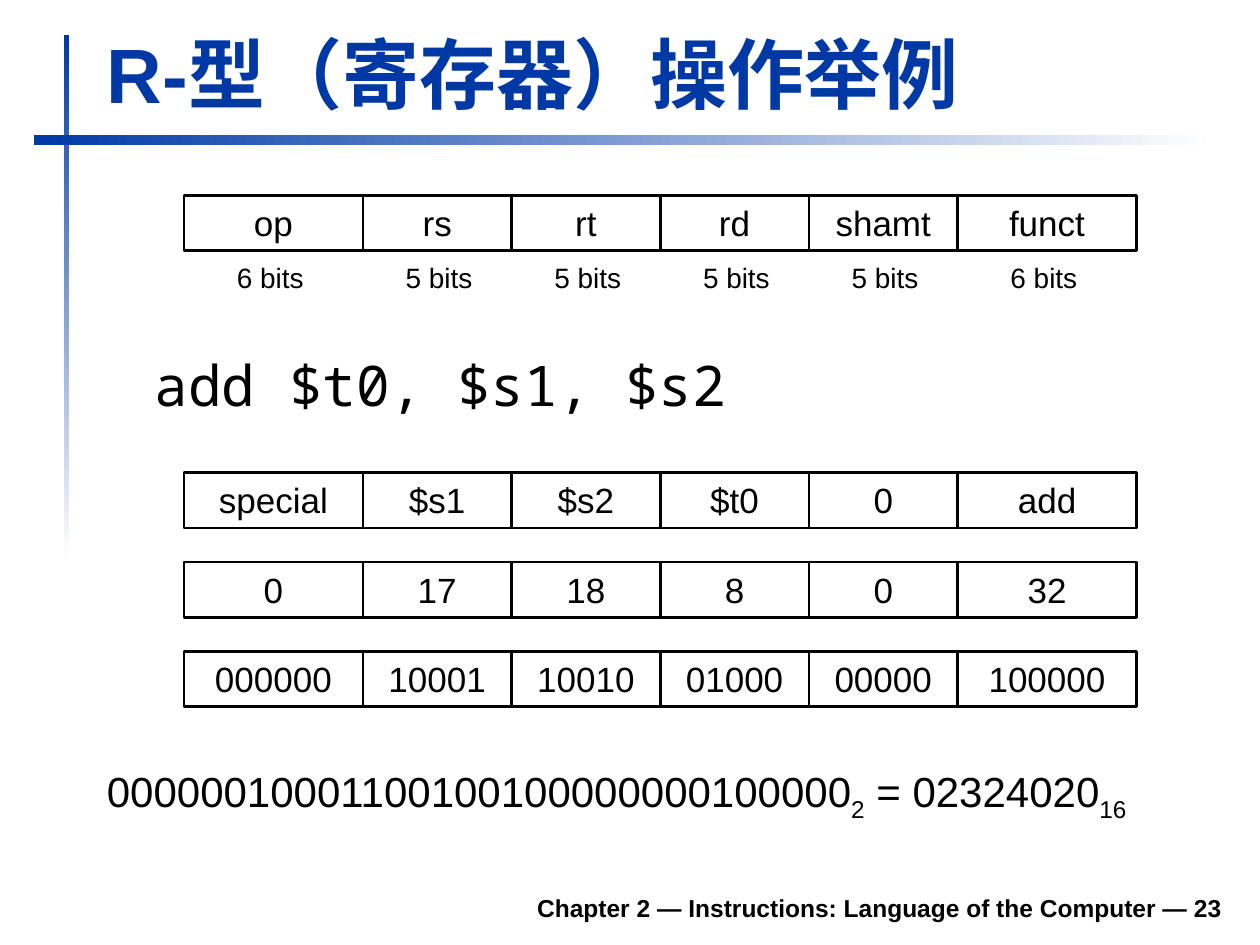
"""Builds the slide on an R-type (register) instruction example."""
from dataclasses import dataclass
from itertools import accumulate

from pptx import Presentation
from pptx.dml.color import RGBColor
from pptx.enum.shapes import MSO_SHAPE
from pptx.enum.text import MSO_ANCHOR, PP_ALIGN
from pptx.util import Emu, Pt

RECT = MSO_SHAPE.RECTANGLE
TOP, BOTTOM = MSO_ANCHOR.TOP, MSO_ANCHOR.BOTTOM
LEFT, CENTER, RIGHT = PP_ALIGN.LEFT, PP_ALIGN.CENTER, PP_ALIGN.RIGHT
EMU_PER_PX = 9144


@dataclass(frozen=True)
class Theme:
    blue: RGBColor = RGBColor(0x00, 0x39, 0xA6)
    black: RGBColor = RGBColor(0x00, 0x00, 0x00)
    white: RGBColor = RGBColor(0xFF, 0xFF, 0xFF)
    sans: str = "Arial"
    mono: str = "Noto Sans Mono"
    title: int = 44
    code: int = 32
    result: int = 24
    field: int = 20
    bits: int = 16
    footer: int = 14
    border: float = 1.5


def px(*lengths):
    return [Emu(length * EMU_PER_PX) for length in lengths]


class SlideBuilder:
    def __init__(self, slide, theme):
        self.slide = slide
        self.theme = theme

    def style(self, font, size, color=None, name=None, bold=False):
        font.size = Pt(size)
        font.name = name or self.theme.sans
        font.bold = bold
        font.color.rgb = color or self.theme.black

    def rectangle(self, box):
        rectangle = self.slide.shapes.add_shape(RECT, *px(*box))
        rectangle.shadow.inherit = False
        return rectangle

    def fading_bar(self, box, angle):
        bar = self.rectangle(box)
        bar.line.fill.background()
        bar.fill.gradient()
        bar.fill.gradient_angle = angle
        for stop, color in zip(bar.fill.gradient_stops, (self.theme.blue, self.theme.white)):
            stop.color.rgb = color

    def text(self, box, words, size, align=LEFT, anchor=TOP, wrap=True, **look):
        frame = self.slide.shapes.add_textbox(*px(*box)).text_frame
        frame.word_wrap = wrap
        frame.vertical_anchor = anchor
        frame.text = words
        paragraph = frame.paragraphs[0]
        paragraph.alignment = align
        for run in paragraph.runs:
            self.style(run.font, size, **look)
        return paragraph

    def subscript_text(self, box, parts, size):
        paragraph = self.text(box, "", size)
        for words, is_subscript in parts:
            run = paragraph.add_run()
            run.text = words
            self.style(run.font, size)
            if is_subscript:
                run.font._element.set("baseline", "-25000")

    def field(self, box, words):
        cell = self.rectangle(box)
        cell.fill.background()
        cell.line.color.rgb = self.theme.black
        cell.line.width = Pt(self.theme.border)
        frame = cell.text_frame
        frame.vertical_anchor = TOP
        frame.text = words
        label = frame.paragraphs[0]
        label.alignment = CENTER
        self.style(label.runs[0].font, self.theme.field)


FIELD_BITS = (6, 5, 5, 5, 5, 6)
FIELD_WIDTH = {6: 142, 5: 118}
BITS_OFFSET = {6: 32, 5: 24}
FORMAT_TOP = 155
EXAMPLE_TOP, EXAMPLE_STEP = 375, 71
FORMAT = ("op", "rs", "rt", "rd", "shamt", "funct")
EXAMPLES = (
    ("special", "$s1", "$s2", "$t0", "0", "add"),
    ("0", "17", "18", "8", "0", "32"),
    ("000000", "10001", "10010", "01000", "00000", "100000"),
)
RESULT = (
    ("00000010001100100100000000100000", False),
    ("2", True),
    (" = 02324020", False),
    ("16", True),
)


def main():
    presentation = Presentation()
    presentation.slide_width, presentation.slide_height = px(1000, 750)
    slide = presentation.slides.add_slide(presentation.slide_layouts[6])
    theme = Theme()
    builder = SlideBuilder(slide, theme)

    builder.fading_bar((51, 28, 4, 417), 270)
    builder.fading_bar((27, 107, 937, 8), 0)
    builder.text((185, 698, 795, 39), "Chapter 2 — Instructions: Language of the Computer — 23",
                 theme.footer, RIGHT, BOTTOM, bold=True)
    builder.text((75, 15, 903, 84), "R-型（寄存器）操作举例", theme.title,
                 anchor=BOTTOM, color=theme.blue, bold=True)
    instruction = builder.text((75, 273, 904, 71), "add $t0, $s1, $s2", theme.code, name=theme.mono)
    instruction._p.get_or_add_pPr().set("marL", str(38 * EMU_PER_PX))

    widths = [FIELD_WIDTH[bits] for bits in FIELD_BITS]
    lefts = list(accumulate(widths[:-1], initial=146))
    rows = [(FORMAT_TOP, FORMAT)]
    rows += [(EXAMPLE_TOP + i * EXAMPLE_STEP, row) for i, row in enumerate(EXAMPLES)]
    for top, row in rows:
        for left, width, words in zip(lefts, widths, row):
            builder.field((left, top, width, 44), words)
    for left, bits in zip(lefts, FIELD_BITS):
        builder.text((left + BITS_OFFSET[bits], 202, 73, 37), f"{bits} bits",
                     theme.bits, CENTER, wrap=False)

    builder.subscript_text((75, 603, 890, 55), RESULT, theme.result)
    presentation.save("out.pptx")


if __name__ == "__main__":
    main()
